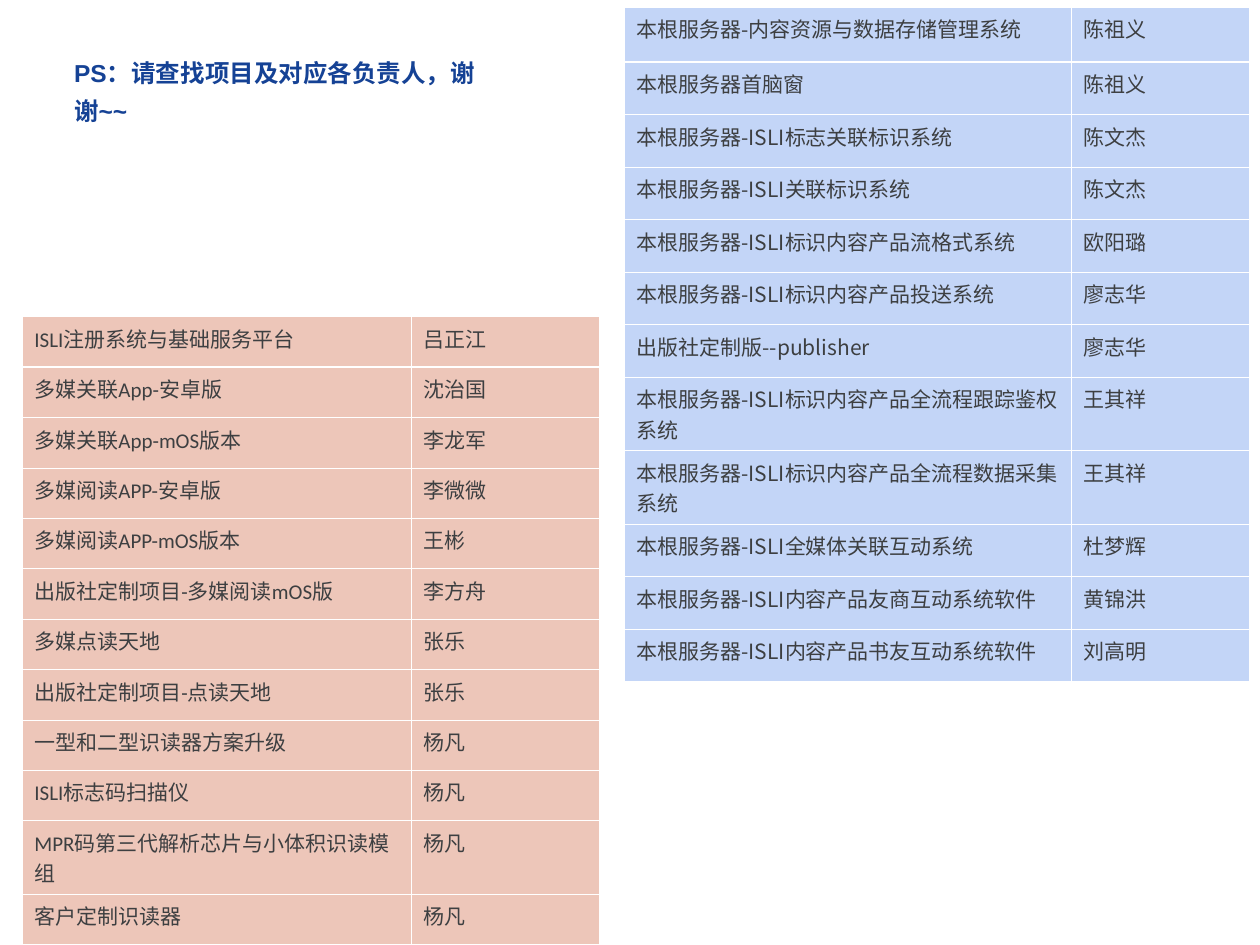
from lxml.etree import SubElement
from pptx import Presentation
from pptx.dml.color import RGBColor as RGB
from pptx.enum.text import MSO_AUTO_SIZE
from pptx.oxml import parse_xml
from pptx.oxml.ns import nsdecls, qn
from pptx.util import Pt

BLUE = RGB(0xC3, 0xD5, 0xF7)
SALMON = RGB(0xED, 0xC6, 0xB9)
WHITE = RGB(0xFF, 0xFF, 0xFF)
TEXT_GREY = RGB(0x3D, 0x3F, 0x41)
NOTE_BLUE = RGB(0x15, 0x42, 0x95)

CHINESE_FONT = "Noto Sans CJK SC"
THIN, THICK = 0.45, 1.47

SERVER_PROJECTS = [
    ("本根服务器-内容资源与数据存储管理系统", "陈祖义"),
    ("本根服务器首脑窗", "陈祖义"),
    ("本根服务器-ISLI标志关联标识系统", "陈文杰"),
    ("本根服务器-ISLI关联标识系统", "陈文杰"),
    ("本根服务器-ISLI标识内容产品流格式系统", "欧阳璐"),
    ("本根服务器-ISLI标识内容产品投送系统", "廖志华"),
    ("出版社定制版--publisher", "廖志华"),
    ("本根服务器-ISLI标识内容产品全流程跟踪鉴权系统", "王其祥"),
    ("本根服务器-ISLI标识内容产品全流程数据采集系统", "王其祥"),
    ("本根服务器-ISLI全媒体关联互动系统", "杜梦辉"),
    ("本根服务器-ISLI内容产品友商互动系统软件", "黄锦洪"),
    ("本根服务器-ISLI内容产品书友互动系统软件", "刘高明"),
]
READER_PROJECTS = [
    ("ISLI注册系统与基础服务平台", "吕正江"),
    ("多媒关联App-安卓版", "沈治国"),
    ("多媒关联App-mOS版本", "李龙军"),
    ("多媒阅读APP-安卓版", "李微微"),
    ("多媒阅读APP-mOS版本", "王彬"),
    ("出版社定制项目-多媒阅读mOS版", "李方舟"),
    ("多媒点读天地", "张乐"),
    ("出版社定制项目-点读天地", "张乐"),
    ("一型和二型识读器方案升级", "杨凡"),
    ("ISLI标志码扫描仪", "杨凡"),
    ("MPR码第三代解析芯片与小体积识读模组", "杨凡"),
    ("客户定制识读器", "杨凡"),
]


def format_paragraph(paragraph, font_name, size, color, bold=False):
    font = paragraph.font
    font.name, font.size, font.bold = font_name, Pt(size), bold
    font.color.rgb = color
    properties = paragraph._p.pPr.find(qn("a:defRPr"))
    SubElement(properties, qn("a:ea")).set("typeface", CHINESE_FONT)


def set_borders(cell, top, bottom):
    """Draw white cell borders; the side borders are always thin."""
    properties = cell._tc.get_or_add_tcPr()
    sides = [("L", THIN), ("R", THIN), ("T", top), ("B", bottom)]
    for position, (side, width) in enumerate(sides):
        properties.insert(position, parse_xml(
            f'<a:ln{side} {nsdecls("a")} w="{Pt(width)}"><a:solidFill>'
            f'<a:srgbClr val="{WHITE}"/></a:solidFill></a:ln{side}>'))


def add_project_table(slide, projects, left, top, widths, heights, fill, font_name):
    table = slide.shapes.add_table(
        len(projects), len(widths), Pt(left), Pt(top),
        Pt(sum(widths)), Pt(sum(heights))).table
    table.horz_banding = False
    for column, width in zip(table.columns, widths):
        column.width = Pt(width)
    for index, (project, height) in enumerate(zip(projects, heights)):
        table.rows[index].height = Pt(height)
        for column, text in enumerate(project):
            cell = table.cell(index, column)
            cell.text = text
            cell.fill.solid()
            cell.fill.fore_color.rgb = fill
            set_borders(cell, THICK if index == 1 else THIN,
                        THICK if index == 0 else THIN)
            format_paragraph(cell.text_frame.paragraphs[0], font_name, 12, TEXT_GREY)


def add_note(slide, text, left, top, width, height):
    box = slide.shapes.add_textbox(Pt(left), Pt(top), Pt(width), Pt(height))
    frame = box.text_frame
    frame.word_wrap = True
    frame.auto_size = MSO_AUTO_SIZE.SHAPE_TO_FIT_TEXT
    paragraph = frame.paragraphs[0]
    paragraph.text = text
    paragraph.line_spacing = 1.3
    format_paragraph(paragraph, "Arial", 14, NOTE_BLUE, bold=True)


def main():
    presentation = Presentation()
    presentation.slide_width, presentation.slide_height = Pt(720), Pt(540)
    slide = presentation.slides.add_slide(presentation.slide_layouts[6])
    add_project_table(slide, SERVER_PROJECTS, 356.5, 4, (255.5, 102.2),
                      [31.5] + [30] * 6 + [36] * 2 + [30] * 3, BLUE, CHINESE_FONT)
    add_project_table(slide, READER_PROJECTS, 12.5, 181, (222.5, 107.3),
                      [28.8] * 10 + [36, 28.8], SALMON, "Calibri")
    add_note(slide, "PS：请查找项目及对应各负责人，谢谢~~", 35.3, 24.5, 254.2, 51)
    presentation.save("out.pptx")


if __name__ == "__main__":
    main()
